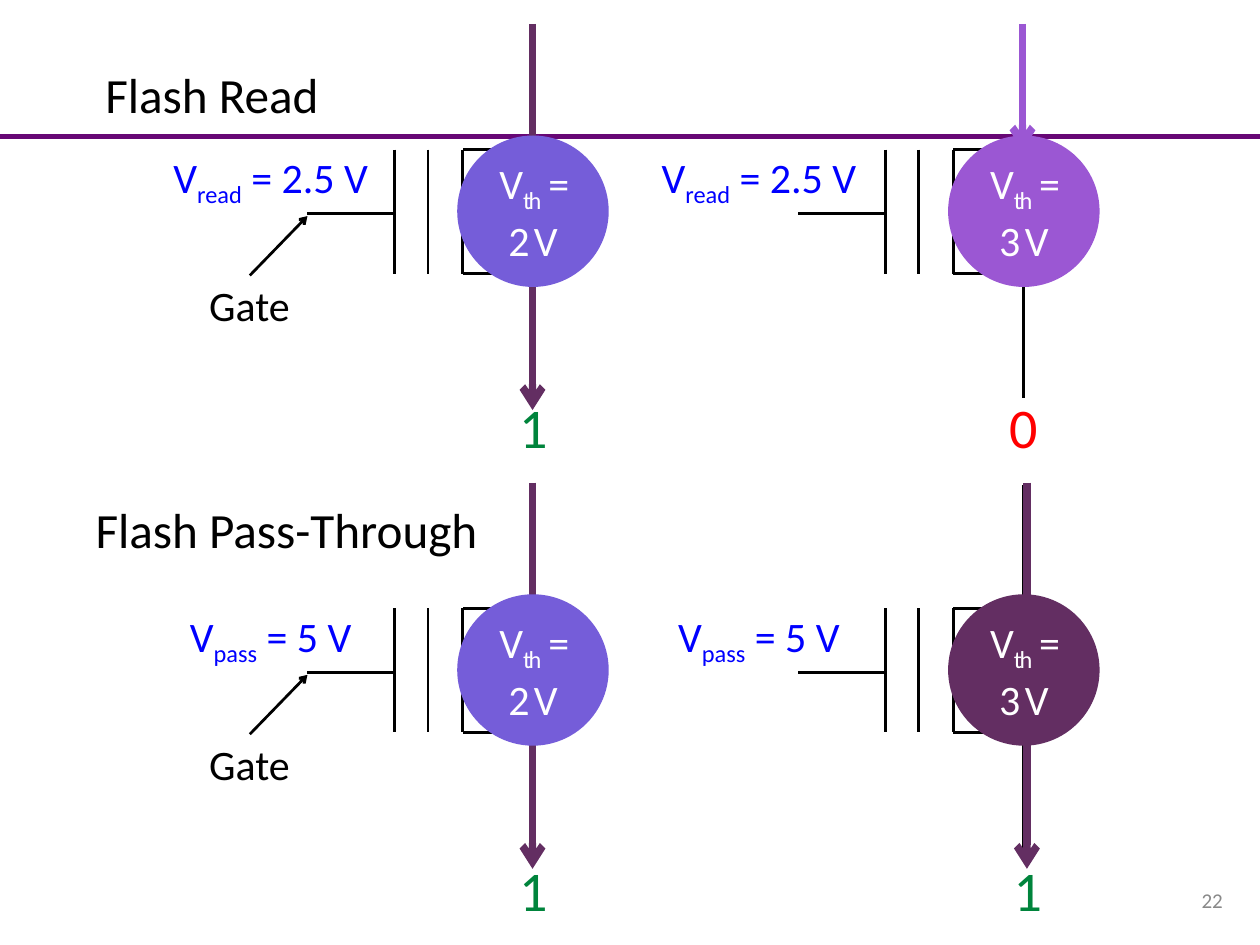
from lxml.etree import SubElement
from pptx import Presentation
from pptx.dml.color import RGBColor
from pptx.enum.shapes import MSO_CONNECTOR, MSO_SHAPE
from pptx.enum.text import MSO_ANCHOR, MSO_AUTO_SIZE, PP_ALIGN
from pptx.oxml.ns import qn
from pptx.util import Inches, Pt

BLACK = RGBColor(0x00, 0x00, 0x00)
WHITE = RGBColor(0xFF, 0xFF, 0xFF)
GRAY = RGBColor(0x89, 0x89, 0x89)
BLUE = RGBColor(0x00, 0x00, 0xFF)
GREEN = RGBColor(0x00, 0x84, 0x3C)
RED = RGBColor(0xFF, 0x00, 0x00)
RULE = RGBColor(0x67, 0x07, 0x75)
PLUM = RGBColor(0x63, 0x2E, 0x62)
INDIGO = RGBColor(0x75, 0x5D, 0xD9)
VIOLET = RGBColor(0x9B, 0x57, 0xD3)

TITLE = {"anchor": MSO_ANCHOR.MIDDLE, "align": PP_ALIGN.LEFT, "space": 0.9}
LABEL = {"fit": MSO_AUTO_SIZE.SHAPE_TO_FIT_TEXT}
NUMBER = {"anchor": MSO_ANCHOR.MIDDLE, "align": PP_ALIGN.RIGHT}

# Transistor lines, measured from the top of its channel
PARTS = [
    (0, 0, 0, 1.39),
    (0, 1.39, -0.79, 1.39),
    (-0.79, 1.39, -0.79, 2.79),
    (0, 2.79, -0.79, 2.79),
    (0, 2.79, 0, 4.19),
    (-1.18, 1.39, -1.18, 2.79),
    (-1.56, 1.39, -1.56, 2.79),
    (-2.54, 2.11, -1.56, 2.11),
]


def assign(target, values):
    for name, value in values.items():
        setattr(target, name, value)


class Board:
    def __init__(self, slide, face="Calibri"):
        self.slide = slide
        self.face = face

    def line(self, x1, y1, x2, y2, color=BLACK, width=2.25, arrow=False):
        ends = [Inches(v) for v in (x1, y1, x2, y2)]
        link = self.slide.shapes.add_connector(MSO_CONNECTOR.STRAIGHT, *ends)
        link.line.color.rgb = color
        link.line.width = Pt(width)
        props = link._element.spPr
        if arrow:
            SubElement(props.find(qn("a:ln")), qn("a:tailEnd"), type="arrow")
        SubElement(props, qn("a:effectLst"))

    def fill(self, frame, runs, size, color, anchor=MSO_ANCHOR.TOP,
             align=PP_ALIGN.CENTER, space=1.0, fit=MSO_AUTO_SIZE.NONE, track=0):
        """Put runs into a frame; every second run is a subscript."""
        assign(frame, {"word_wrap": True, "auto_size": fit, "vertical_anchor": anchor})
        para = frame.paragraphs[0]
        assign(para, {"alignment": align, "line_spacing": space})
        for i, text in enumerate(runs):
            run = para.add_run()
            run.text = text
            assign(run.font, {"name": self.face, "size": Pt(size)})
            run.font.color.rgb = color
            props = run._r.get_or_add_rPr()
            if i % 2:
                props.set("baseline", "-25000")
            if track:
                props.set("spc", str(track))

    def text(self, x, y, w, h, runs, size, color, **style):
        box = self.slide.shapes.add_textbox(*[Inches(v) for v in (x, y, w, h)])
        self.fill(box.text_frame, runs, size, color, **style)

    def disc(self, x, y, color, volts):
        side = Inches(1.71)
        disc = self.slide.shapes.add_shape(
            MSO_SHAPE.OVAL, Inches(x), Inches(y), side, side)
        disc.shadow.inherit = False
        disc.fill.solid()
        disc.fill.fore_color.rgb = color
        disc.line.fill.background()
        self.fill(disc.text_frame, ["V", "th", f" = {volts} V"], 34.1, WHITE,
                  anchor=MSO_ANCHOR.MIDDLE, track=-210)

    def cell(self, x, y, left, label, volts, tone, flow, bit, low):
        """Draw one transistor; flow is the x of its current arrow."""
        for x1, y1, x2, y2 in PARTS:
            self.line(x + x1, y + y1, x + x2, y + y2)
        self.text(left, y + 1.36, 2.79, 0.68, label, 34.1, BLUE, **LABEL)
        if bit == "1":
            self.line(flow, y - 0.03, flow, y + 4.33, PLUM, 6, True)
        self.disc(x - 0.85, y + 1.23, tone, volts)
        if bit == "0":
            self.line(flow, y - 0.03, flow, y + 1.4, tone, 6, True)
        tint = GREEN if bit == "1" else RED
        self.text(flow - 0.65, low, 1.32, 0.87, [bit], 45.5, tint, **LABEL)

    def gate(self, x, y):
        self.line(x - 3.19, y + 2.81, x - 2.54, y + 2.14, arrow=True)
        self.text(x - 4.33, y + 2.81, 2.27, 0.68, ["Gate"], 34.1, BLACK, **LABEL)


def main():
    deck = Presentation()
    assign(deck, {"slide_width": Inches(14.22), "slide_height": Inches(10.67)})
    board = Board(deck.slides.add_slide(deck.slide_layouts[6]))
    board.line(0, 1.54, 14.22, 1.54, RULE, 4.5)
    board.text(1.09, 0.37, 13.22, 1.46, ["Flash Read"], 40, BLACK, **TITLE)
    board.text(0.98, 5.34, 12.27, 1.35, ["Flash Pass-Through"], 40, BLACK, **TITLE)
    board.text(10.7, 9.88, 3.2, 0.57, ["22"], 17.1, GRAY, **NUMBER)

    rows = [
        (0.3, 4.38, ["V", "read", " = 2.5 V"], VIOLET, 11.54, "0"),
        (5.48, 9.61, ["V", "pass", " = 5 V"], PLUM, 11.59, "1"),
    ]
    for y, low, label, tone, flow, bit in rows:
        board.cell(6.01, y, 1.66, label, 2, INDIGO, 6.01, "1", low)
        board.cell(11.55, y, 7.17, label, 3, tone, flow, bit, low)
        board.gate(6.01, y)
    deck.save("out.pptx")


if __name__ == "__main__":
    main()
